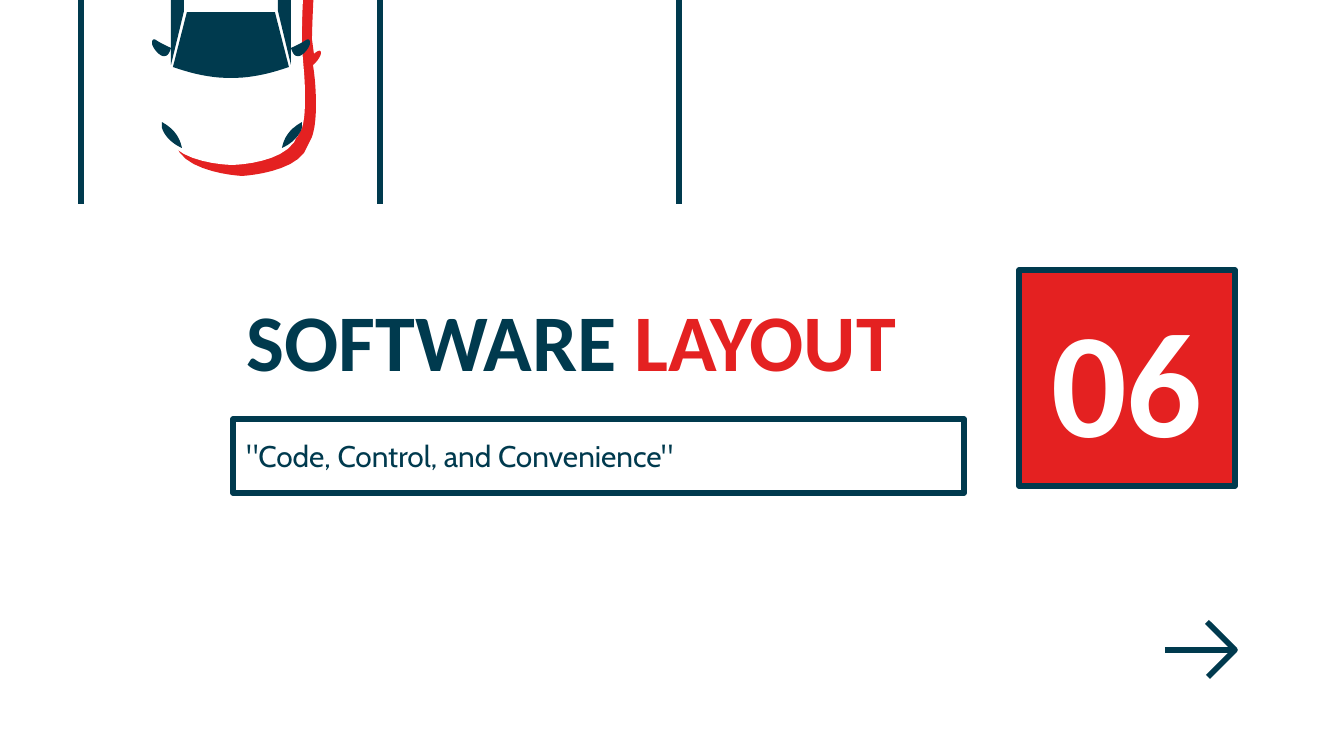
"""Build the section slide for the software layout chapter."""
import dataclasses

import lxml.etree
import pptx
import pptx.dml.color
import pptx.enum.shapes
import pptx.enum.text
import pptx.oxml.ns
import pptx.slide
import pptx.util

Point = tuple[float, float]
EMU_PER_PX = 914400 / 134.4
NAVY, RED, WHITE = "003A4E", "E42121", "FFFFFF"
STROKE = 3
CURVE_STEPS = 10


@dataclasses.dataclass
class Box:
    left: int
    top: int
    width: int
    height: int


@dataclasses.dataclass
class CarPart:
    axis: int
    color: str
    start: Point
    segments: list[tuple[Point, ...]]
    paired: bool = False


CAR_PARTS = [
    CarPart(242, RED, (0, -144), [
        ((19, -144),), ((44, -144), (59, -129), (67, -112)),
        ((73, -101), (77, -87), (77, -77)), ((77, -74), (77, -71), (75, -69)),
        ((74, -52), (70, 23), (70, 39)), ((72, 54),),
        ((75, 51), (79, 49), (79, 53)), ((79, 56), (75, 62), (71, 65)),
        ((73, 77), (74, 91), (74, 105)), ((74, 117), (73, 128), (70, 137)),
        ((66, 145),), ((58, 173), (0, 176), (0, 176))]),
    CarPart(232, WHITE, (0, -128), [
        ((19, -128),), ((57, -128), (72, -93), (72, -69)),
        ((72, -66), (72, -63), (71, -62)), ((70, -46), (66, 26), (66, 41)),
        ((66, 54),), ((67, 67), (70, 86), (70, 104)),
        ((70, 116), (69, 126), (66, 134)), ((58, 164), (0, 165), (0, 165))]),
    CarPart(232, WHITE, (0, -149), [
        ((20, -149),), ((60, -149), (76, -113), (76, -86)),
        ((76, -83), (76, -81), (76, -79)), ((74, -62), (70, 12), (70, 28)),
        ((70, 42),), ((70, 55), (73, 75), (73, 94)),
        ((73, 106), (73, 118), (70, 128)), ((60, 159), (0, 160), (0, 160))]),
    CarPart(231, NAVY, (79, 43), [
        ((79, 39), (77, 39), (75, 40)), ((73, 42), (60, 48), (60, 48)),
        ((60, 48), (62, 56), (66, 56)), ((70, 58), (79, 48), (79, 43))], True),
    CarPart(232, NAVY, (70, 122), [
        ((52, 132), (51, 145), (50, 148)),
        ((59, 144), (67, 137), (70, 128))], True),
    CarPart(231, NAVY, (0, 12), [
        ((44, 12),), ((58, 67),), ((38, 74), (20, 78), (0, 78))]),
    CarPart(231, NAVY, (60, -31), [
        ((60, -59), (47, -90), (47, -90)), ((47, 11),), ((60, 65),)], True),
]


def px(length: float) -> pptx.util.Emu:
    return pptx.util.Emu(round(length * EMU_PER_PX))


def rgb(color: str) -> pptx.dml.color.RGBColor:
    return pptx.dml.color.RGBColor.from_string(color)


def place(shape, box: Box) -> None:
    shape.left, shape.top = px(box.left), px(box.top)
    shape.width, shape.height = px(box.width), px(box.height)


def paint(shape, fill: str | None = None, outline: str | None = None) -> None:
    if fill:
        shape.fill.solid()
        shape.fill.fore_color.rgb = rgb(fill)
    else:
        shape.fill.background()
    if outline:
        shape.line.color.rgb = rgb(outline)
        shape.line.width = pptx.util.Pt(STROKE)
    else:
        shape.line.fill.background()


def write(shape, text: str, *, size: int, font: str, color: str, bold: bool = False,
          align=pptx.enum.text.PP_ALIGN.LEFT,
          anchor=pptx.enum.text.MSO_ANCHOR.MIDDLE) -> None:
    frame = shape.text_frame
    frame.word_wrap = True
    frame.auto_size = pptx.enum.text.MSO_AUTO_SIZE.NONE
    frame.vertical_anchor = anchor
    frame.margin_left = frame.margin_right = pptx.util.Inches(0.1)
    frame.margin_top = frame.margin_bottom = pptx.util.Inches(0.1)
    paragraph = frame.paragraphs[0]
    paragraph.alignment = align
    paragraph.space_before = pptx.util.Pt(0)
    run = paragraph.add_run()
    run.text = text
    run.font.size = pptx.util.Pt(size)
    run.font.name = font
    run.font.bold = bold
    run.font.color.rgb = rgb(color)


def draw_line(slide: pptx.slide.Slide, start: Point, end: Point) -> None:
    line = slide.shapes.add_connector(
        pptx.enum.shapes.MSO_CONNECTOR.STRAIGHT, *map(px, start + end))
    line.line.color.rgb = rgb(NAVY)
    line.line.width = pptx.util.Pt(STROKE)
    lxml.etree.SubElement(line._element.spPr, pptx.oxml.ns.qn("a:effectLst"))


def draw_outline(slide: pptx.slide.Slide, points: list[Point], closed: bool = True,
                 fill: str | None = None, outline: str | None = None) -> None:
    corners = [(px(x), px(y)) for x, y in points]
    builder = slide.shapes.build_freeform(*corners[0])
    builder.add_line_segments(corners[1:], close=closed)
    shape = builder.convert_to_shape()
    shape.shadow.inherit = False
    paint(shape, fill, outline)


def trace(part: CarPart) -> list[Point]:
    points = [part.start]
    for segment in part.segments:
        if len(segment) == 1:
            points.append(segment[0])
            continue
        controls = (points[-1], *segment)
        for step in range(1, CURVE_STEPS + 1):
            t = step / CURVE_STEPS
            weights = ((1 - t) ** 3, 3 * t * (1 - t) ** 2, 3 * t * t * (1 - t), t ** 3)
            points.append((sum(w * p[0] for w, p in zip(weights, controls)),
                           sum(w * p[1] for w, p in zip(weights, controls))))
    return points


def draw_car_part(slide: pptx.slide.Slide, part: CarPart) -> None:
    half = trace(part)
    right = [(part.axis + x, y) for x, y in half]
    left = [(part.axis - x, y) for x, y in half]
    outlines = [right, left] if part.paired else [right + left[::-1]]
    for points in outlines:
        draw_outline(slide, points, fill=part.color)


def main() -> None:
    deck = pptx.Presentation()
    deck.slide_width, deck.slide_height = px(1344), px(756)
    slide = deck.slides.add_slide(deck.slide_layouts[0])

    title, tagline = slide.shapes.title, slide.placeholders[1]
    place(title, Box(233, 278, 731, 118))
    for word, color in (("SOFTWARE ", NAVY), ("LAYOUT", RED)):
        write(title, word, size=43, font="Calibri", color=color, bold=True,
              anchor=pptx.enum.text.MSO_ANCHOR.TOP)

    place(tagline, Box(233, 419, 731, 74))
    paint(tagline, outline=NAVY)
    write(tagline, '"Code, Control, and Convenience"', size=16, font="Cabin", color=NAVY)

    number = slide.shapes.add_shape(
        pptx.enum.shapes.MSO_SHAPE.RECTANGLE, px(1019), px(270), px(216), px(216))
    number.shadow.inherit = False
    paint(number, RED, NAVY)
    write(number, "06", size=80, font="Calibri", color=WHITE, bold=True,
          align=pptx.enum.text.PP_ALIGN.CENTER)

    for bay in range(3):
        x = 81 + 299 * bay
        draw_line(slide, (x, -228), (x, 204))
    for part in CAR_PARTS:
        draw_car_part(slide, part)

    draw_line(slide, (1165, 650), (1231, 650))
    draw_outline(slide, [(1207, 622), (1235, 650), (1208, 677)], closed=False, outline=NAVY)
    deck.save("out.pptx")


if __name__ == "__main__":
    main()
